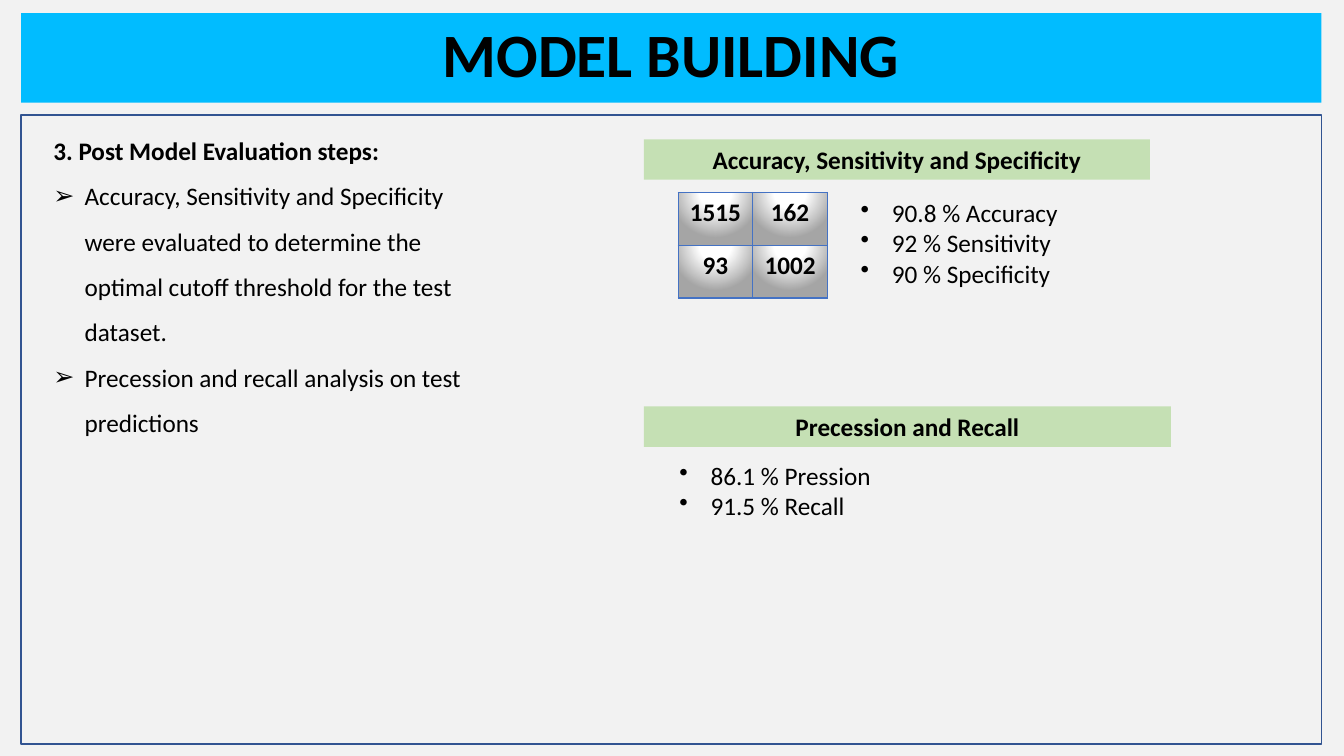
import pptx
import pptx.dml.color
import pptx.enum.shapes
import pptx.enum.text
import pptx.oxml
import pptx.oxml.ns
import pptx.util
from lxml import etree

Cm = pptx.util.Cm
Pt = pptx.util.Pt
RGBColor = pptx.dml.color.RGBColor
ALIGN = pptx.enum.text.PP_ALIGN
ANCHOR = pptx.enum.text.MSO_ANCHOR
AUTO = pptx.enum.text.MSO_AUTO_SIZE
RECTANGLE = pptx.enum.shapes.MSO_SHAPE.RECTANGLE

BLACK = RGBColor(0x00, 0x00, 0x00)
WHITE = RGBColor(0xFF, 0xFF, 0xFF)
PAPER = RGBColor(0xF2, 0xF2, 0xF2)
SKY = RGBColor(0x01, 0xBC, 0xFF)
NAVY = RGBColor(0x32, 0x54, 0x91)
GREEN = RGBColor(0xC5, 0xE0, 0xB4)
BLUE = RGBColor(0x44, 0x72, 0xC4)
GREY = RGBColor(0xA5, 0xA5, 0xA5)

INDENT = Cm(0.79)
NS = pptx.oxml.ns.nsdecls("a")


class Deck:
    """Holds the text style and the current slide."""

    font = {"name": "Calibri", "size": Pt(18), "bold": False}

    def __init__(self, prs):
        self.s = prs.slides.add_slide(prs.slide_layouts[1])
        fill = self.s.background.fill
        fill.solid()
        fill.fore_color.rgb = PAPER

    def place(self, sp, box):
        for name, value in zip(("left", "top", "width", "height"), box):
            setattr(sp, name, Cm(value))

    def text(self, p, words, bullet=None, spacing=1.0, align=ALIGN.LEFT, **font):
        layout = {"alignment": align, "line_spacing": spacing,
                  "space_before": Pt(0), "space_after": Pt(0)}
        for name, value in layout.items():
            setattr(p, name, value)
        r = p.add_run()
        r.text = words
        for name, value in {**self.font, **font}.items():
            setattr(r.font, name, value)
        r.font.color.rgb = BLACK
        pPr = p._p.get_or_add_pPr()
        indent = INDENT if bullet else 0
        pPr.set("marL", str(indent))
        pPr.set("indent", str(-indent))
        if bullet:
            etree.SubElement(pPr, pptx.oxml.ns.qn("a:buChar")).set("char", bullet)
        else:
            etree.SubElement(pPr, pptx.oxml.ns.qn("a:buNone"))

    def title(self, box, words):
        sp = self.s.shapes.title
        self.place(sp, box)
        sp.fill.solid()
        sp.fill.fore_color.rgb = SKY
        tf = sp.text_frame
        tf.auto_size = AUTO.NONE
        tf.vertical_anchor = ANCHOR.MIDDLE
        self.text(tf.paragraphs[0], words, spacing=0.9, align=ALIGN.CENTER,
                  size=Pt(44), bold=True)

    def steps(self, box, heading, items):
        sp = self.s.placeholders[1]
        self.place(sp, box)
        tf = sp.text_frame
        tf.auto_size = AUTO.SHAPE_TO_FIT_TEXT
        self.text(tf.paragraphs[0], heading, spacing=1.5, bold=True)
        for item in items:
            self.text(tf.add_paragraph(), item, "➢", 1.5)

    def rectangle(self, box, fill=None, line=None):
        sp = self.s.shapes.add_shape(RECTANGLE, *map(Cm, box))
        sp.shadow.inherit = False
        for part, color in ((sp.fill, fill), (sp.line.fill, line)):
            if color is None:
                part.background()
            else:
                part.solid()
                part.fore_color.rgb = color
        if line is not None:
            sp.line.width = Pt(1)
        return sp

    def heading(self, box, words):
        tf = self.rectangle(box, fill=GREEN).text_frame
        tf.word_wrap = True
        tf.auto_size = AUTO.SHAPE_TO_FIT_TEXT
        tf.vertical_anchor = ANCHOR.MIDDLE
        self.text(tf.paragraphs[0], words, align=ALIGN.CENTER, bold=True)

    def metrics(self, box, items):
        tf = self.s.shapes.add_textbox(*map(Cm, box)).text_frame
        tf.word_wrap = False
        tf.auto_size = AUTO.SHAPE_TO_FIT_TEXT
        for i, item in enumerate(items):
            p = tf.add_paragraph() if i else tf.paragraphs[0]
            self.text(p, item, "•")

    def matrix(self, box, rows):
        frame = self.s.shapes.add_table(len(rows), len(rows[0]), *map(Cm, box))
        table = frame.table
        table.first_row = table.horz_banding = False
        for i, row in enumerate(rows):
            for j, value in enumerate(row):
                cell = table.cell(i, j)
                self.text(cell.text_frame.paragraphs[0], str(value),
                          align=ALIGN.CENTER, bold=True)
                self.cell_look(cell)

    def cell_look(self, cell):
        """Give a cell thin blue borders and a round white to grey gradient."""
        tcPr = cell._tc.get_or_add_tcPr()
        for side in "LRTB":
            tcPr.append(pptx.oxml.parse_xml(
                f'<a:ln{side} {NS} w="{Pt(1)}"><a:solidFill>'
                f'<a:srgbClr val="{BLUE}"/></a:solidFill></a:ln{side}>'))
        stops = "".join(
            f'<a:gs pos="{pos * 1000}"><a:srgbClr val="{color}"/></a:gs>'
            for pos, color in ((0, WHITE), (35, WHITE), (100, GREY)))
        tcPr.append(pptx.oxml.parse_xml(
            f'<a:gradFill {NS}><a:gsLst>{stops}</a:gsLst><a:path path="circle">'
            '<a:fillToRect l="50000" t="-80000" r="50000" b="180000"/>'
            '</a:path></a:gradFill>'))


def main():
    prs = pptx.Presentation()
    prs.slide_width, prs.slide_height = Cm(33.87), Cm(19.05)
    deck = Deck(prs)
    deck.title((0.53, 0.33, 32.77, 2.26), "MODEL BUILDING")
    deck.rectangle((0.53, 2.9, 32.77, 15.85), line=NAVY)
    deck.steps((1.09, 2.9, 11.73, 8.2), "3. Post Model Evaluation steps:", [
        "Accuracy, Sensitivity and Specificity were evaluated to determine "
        "the optimal cutoff threshold for the test dataset.",
        "Precession and recall analysis on test predictions"])
    deck.heading((16.23, 3.51, 12.75, 1.02), "Accuracy, Sensitivity and Specificity")
    deck.matrix((17.09, 4.85, 3.76, 2.66), [[1515, 162], [93, 1002]])
    deck.metrics((21.44, 4.85, 5.54, 2.57),
                 ["90.8 % Accuracy", "92 % Sensitivity", "90 % Specificity"])
    deck.heading((16.23, 10.24, 13.28, 1.02), "Precession and Recall")
    deck.metrics((16.87, 11.48, 5.38, 1.8), ["86.1 % Pression", "91.5 % Recall"])
    prs.save("out.pptx")


if __name__ == "__main__":
    main()
